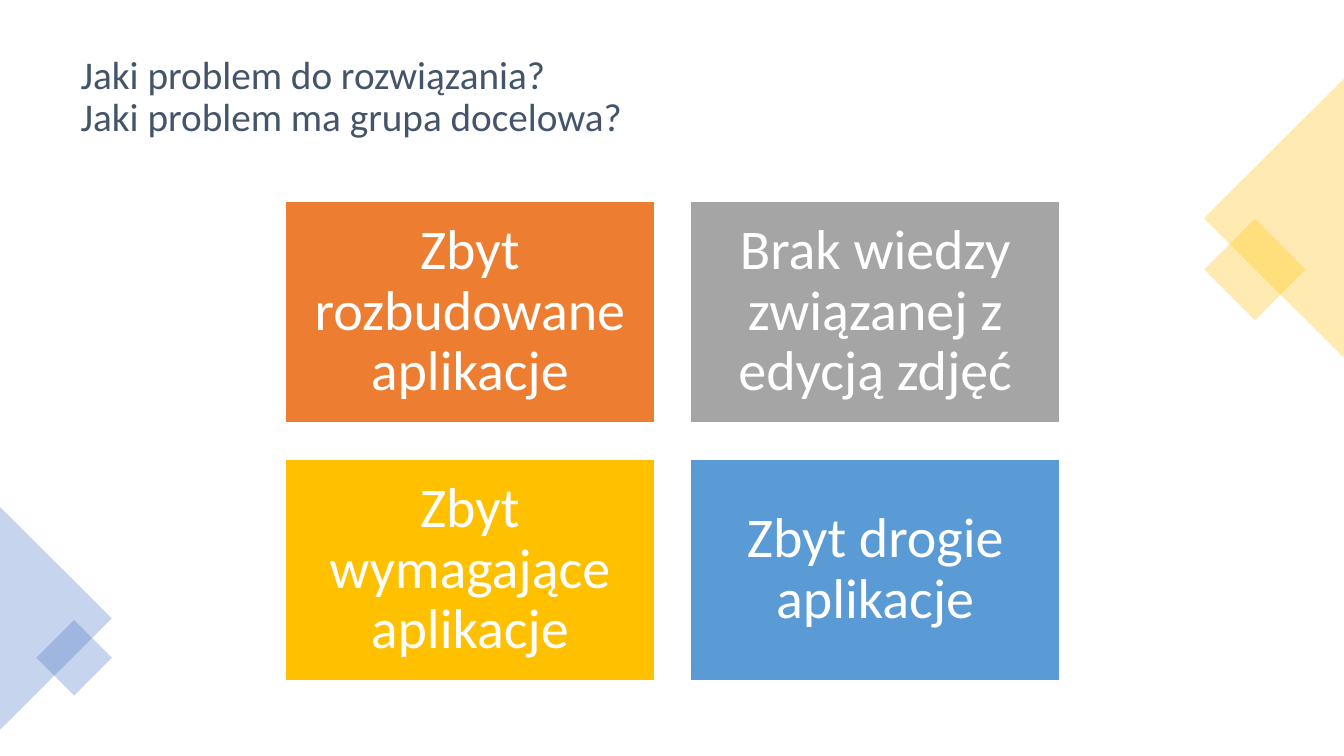
from lxml import etree
from pptx import Presentation
from pptx.dml.color import RGBColor
from pptx.enum.shapes import MSO_SHAPE
from pptx.enum.text import MSO_ANCHOR, MSO_AUTO_SIZE, PP_ALIGN
from pptx.oxml.ns import qn
from pptx.util import Inches, Pt

RECT = MSO_SHAPE.RECTANGLE
PEAK = MSO_SHAPE.ISOSCELES_TRIANGLE
LEFT, CENTER = PP_ALIGN.LEFT, PP_ALIGN.CENTER
MIDDLE = MSO_ANCHOR.MIDDLE
NO_FIT = MSO_AUTO_SIZE.NONE

WIDE, HIGH = 13.33, 7.5
WHITE, SLATE, GOLD, BLUE = "FFFFFF", "44546A", "FFC000", "4472C4"


def color(code):
    return RGBColor.from_string(code)


def write(shape, text, size, ink, align, inset=None):
    frame = shape.text_frame
    frame.word_wrap = True
    frame.auto_size = NO_FIT
    frame.vertical_anchor = MIDDLE
    if inset is not None:
        frame.margin_left = frame.margin_right = Inches(inset)
        frame.margin_top = frame.margin_bottom = Inches(inset)
    para = frame.paragraphs[0]
    para.text = text
    para.alignment = align
    para.line_spacing = 0.9
    for run in para.runs:
        run.font.name = "Calibri"
        run.font.size = Pt(size)
        run.font.color.rgb = color(ink)


class Board:
    """Slide whose boxes are given in percent of its width and height."""

    origin = (21.23, 26.67)
    cell = (27.46, 29.2)
    pitch = (30.16, 34.13)

    def __init__(self, deck):
        self.slide = deck.slides.add_slide(deck.slide_layouts[5])

    def area(self, x, y, w, h):
        return [Inches(part * side / 100)
                for part, side in zip((x, y, w, h), (WIDE, HIGH) * 2)]

    def title(self, text, *box):
        head = self.slide.shapes.title
        head.left, head.top, head.width, head.height = self.area(*box)
        write(head, text, 28, SLATE, LEFT)

    def block(self, kind, fill, box):
        shape = self.slide.shapes.add_shape(kind, *self.area(*box))
        shape.shadow.inherit = False
        shape.fill.solid()
        shape.fill.fore_color.rgb = color(fill)
        return shape

    def accent(self, kind, fill, turn, *box):
        """Add a rotated corner shape at 30 % opacity."""
        shape = self.block(kind, fill, box)
        shape.rotation = turn
        shape.line.fill.background()
        tint = next(shape.fill._xPr.iter(qn("a:srgbClr")))
        etree.SubElement(tint, qn("a:alpha"), val="30000")

    def card(self, col, row, fill, text):
        x = self.origin[0] + col * self.pitch[0]
        y = self.origin[1] + row * self.pitch[1]
        shape = self.block(RECT, fill, (x, y, *self.cell))
        shape.line.color.rgb = color(WHITE)
        shape.line.width = Pt(1)
        write(shape, text, 40, WHITE, CENTER, inset=0.17)


def main():
    deck = Presentation()
    deck.slide_width, deck.slide_height = Inches(WIDE), Inches(HIGH)
    board = Board(deck)
    board.title("Jaki problem do rozwiązania?\vJaki problem ma grupa docelowa?",
                5.25, 4.67, 89.5, 16.53)
    board.accent(RECT, GOLD, 45, 90.7, 30.93, 5.33, 9.47)
    board.accent(PEAK, GOLD, 270, 84.4, 19.6, 20.78, 18.53)
    board.accent(PEAK, BLUE, 90, -4.13, 74.4, 16.58, 14.8)
    board.accent(RECT, BLUE, 45, 3.53, 83.47, 3.98, 7.07)
    cards = [
        ("ED7D31", "Zbyt rozbudowane aplikacje"),
        ("A5A5A5", "Brak wiedzy związanej z edycją zdjęć"),
        (GOLD, "Zbyt wymagające aplikacje"),
        ("5B9BD5", "Zbyt drogie aplikacje"),
    ]
    for index, (fill, text) in enumerate(cards):
        row, col = divmod(index, 2)
        board.card(col, row, fill, text)
    deck.save("out.pptx")


if __name__ == "__main__":
    main()
